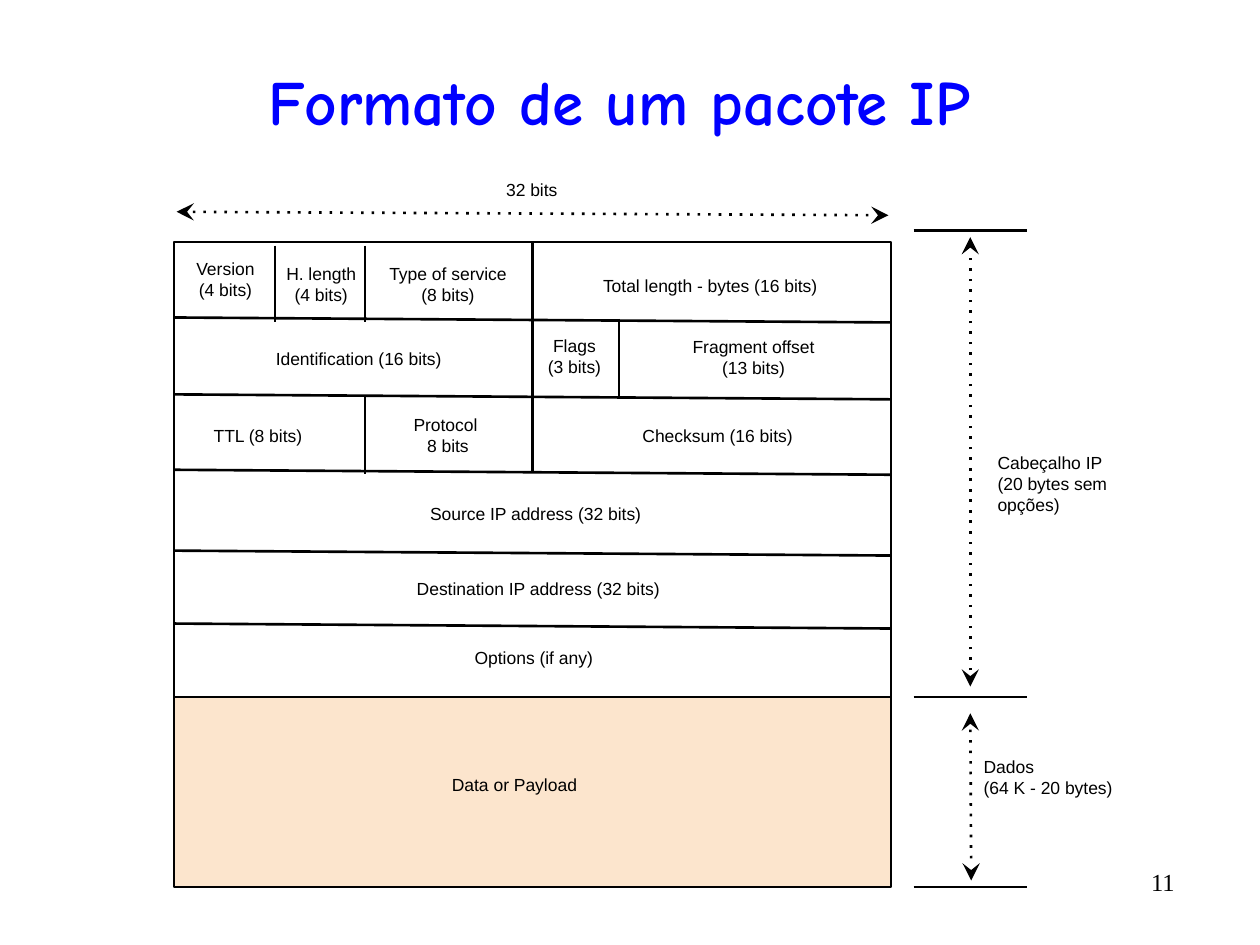
from lxml.etree import SubElement
from pptx import Presentation
from pptx.dml.color import RGBColor
from pptx.enum.shapes import MSO_CONNECTOR, MSO_SHAPE
from pptx.enum.text import MSO_ANCHOR, PP_ALIGN
from pptx.oxml.ns import qn
from pptx.util import Cm, Pt

LEFT, RIGHT = 3.51, 17.96
TOP, SPLIT, BOTTOM = 4.88, 14.05, 17.88
SLANT, TICK = 0.1, 1.55
ROWS = [6.4, 7.95, 9.47, 11.1, 12.57]
TICKS = [(5.54, 4.95), (7.36, 4.95), (12.48, 6.43), (7.36, 8)]
ARROWS = [
    (3.56, 4.27, 17.91, 4.34),
    (19.56, 13.84, 19.56, 4.78),
    (19.56, 14.38, 19.58, 17.75),
]
FIELDS = [
    ("32 bits", 9.4, 3.3, 2.64, 1.04),
    ("Version\n(4 bits)", 3.4, 4.95, 2.29, 1.37),
    ("H. length\n(4 bits)", 5.33, 4.95, 2.29, 1.55),
    ("Type of service\n(8 bits)", 7.34, 4.95, 3.38, 1.55),
    ("Total length - bytes (16 bits)", 10.72, 4.98, 7.19, 1.55),
    ("Identification (16 bits)", 4.37, 6.71, 5.72, 1.04),
    ("Flags\n(3 bits)", 10.64, 6.38, 1.88, 1.6),
    ("Fragment offset\n(13 bits)", 12.47, 6.4, 5.44, 1.6),
    ("TTL (8 bits)", 3.51, 8.18, 3.38, 1.19),
    ("Protocol \n8 bits", 7.34, 8.18, 3.38, 1.19),
    ("Checksum (16 bits)", 11.71, 8.26, 5.51, 1.04),
    ("Source IP address (32 bits)", 5.64, 9.83, 10.31, 1.04),
    ("Destination IP address (32 bits)", 5.16, 11.35, 11.38, 1.04),
    ("Options (if any)", 6.38, 12.45, 8.76, 1.6),
]
NOTES = [
    ("Data or Payload", 8.86, 15.29, 3.61, 1.04),
    ("Cabeçalho IP\n(20 bytes sem\nopções)", 19.86, 8.94, 3.38, 1.6),
    ("Dados\n(64 K - 20 bytes)", 19.58, 14.86, 3.99, 1.6),
]


def color(code):
    return RGBColor.from_string(code)


def add_box(slide, top, bottom, fill=None):
    box = slide.shapes.add_shape(
        MSO_SHAPE.RECTANGLE, Cm(LEFT), Cm(top), Cm(RIGHT - LEFT), Cm(bottom - top)
    )
    box.shadow.inherit = False
    if fill:
        box.fill.solid()
        box.fill.fore_color.rgb = color(fill)
    else:
        box.fill.background()
    box.line.color.rgb = color("000000")
    box.line.width = Pt(1.5)
    return box


def add_line(slide, x1, y1, x2, y2):
    line = slide.shapes.add_connector(
        MSO_CONNECTOR.STRAIGHT, Cm(x1), Cm(y1), Cm(x2), Cm(y2)
    )
    line.line.color.rgb = color("000000")
    line.line.width = Pt(1.5)
    SubElement(line._element.spPr, qn("a:effectLst"))
    return line


def add_arrow(slide, x1, y1, x2, y2):
    line = add_line(slide, x1, y1, x2, y2)
    stroke = line._element.spPr.find(qn("a:ln"))
    SubElement(stroke, qn("a:prstDash"), val="dot")
    for end in ("a:headEnd", "a:tailEnd"):
        SubElement(stroke, qn(end), type="stealth", w="lg", len="lg")


def add_text(slide, text, x, y, w, h, align=PP_ALIGN.CENTER, size=10,
             face="Arial", ink="000000", bold=False, pad=0.25,
             anchor=MSO_ANCHOR.MIDDLE):
    frame = slide.shapes.add_textbox(Cm(x), Cm(y), Cm(w), Cm(h)).text_frame
    frame.word_wrap = True
    frame.vertical_anchor = anchor
    frame.margin_left = frame.margin_right = Cm(0.25)
    frame.margin_top = frame.margin_bottom = Cm(pad)
    frame.text = text
    for para in frame.paragraphs:
        para.alignment = align
        for run in para.runs:
            run.font.size = Pt(size)
            run.font.name = face
            run.font.bold = bold
            run.font.color.rgb = color(ink)


def add_grid(slide):
    header = add_box(slide, TOP, SPLIT)
    add_box(slide, SPLIT, BOTTOM, "FCE5CD")
    for y in ROWS:
        add_line(slide, LEFT, y, RIGHT, y + SLANT)
    for x, y in TICKS:
        add_line(slide, x, y, x, y + TICK)
    middle = (LEFT + RIGHT) / 2
    add_line(slide, middle, TOP, middle, 9.53).begin_connect(header, 0)


def main():
    deck = Presentation()
    deck.slide_width, deck.slide_height = Cm(25.4), Cm(19.05)
    slide = deck.slides.add_slide(deck.slide_layouts[6])
    add_text(slide, "Formato de um pacote IP", 0.84, 1.07, 23.29, 1.9,
             size=36, face="Comic Neue", ink="0000FF", bold=True, pad=0.13)
    add_grid(slide)
    for y in (4.65, SPLIT, BOTTOM):
        add_line(slide, 18.42, y, 20.7, y)
    for ends in ARROWS:
        add_arrow(slide, *ends)
    for field in FIELDS:
        add_text(slide, *field)
    for note in NOTES:
        add_text(slide, *note, align=PP_ALIGN.LEFT)
    add_text(slide, "11", 21.39, 17.35, 2.54, 1.07, align=PP_ALIGN.RIGHT,
             size=14, face="Times New Roman", pad=0.13, anchor=MSO_ANCHOR.TOP)
    deck.save("out.pptx")


if __name__ == "__main__":
    main()
